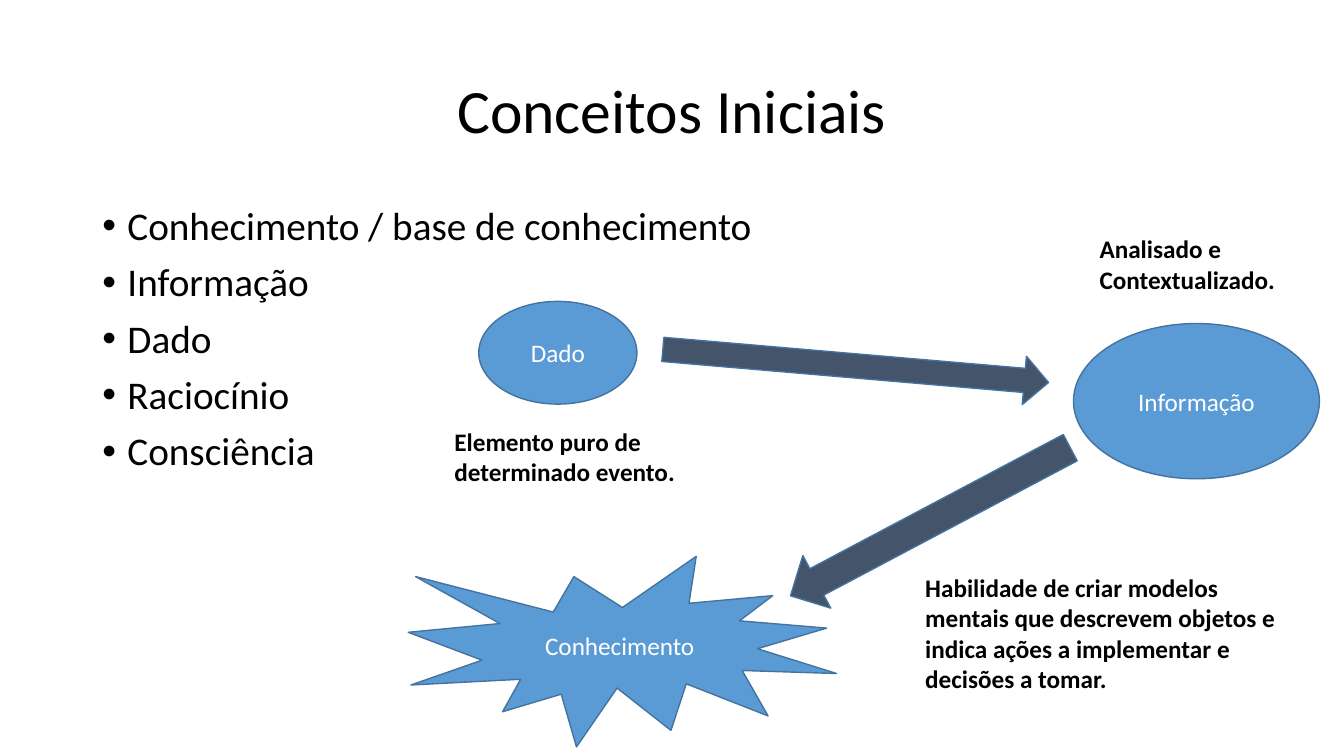
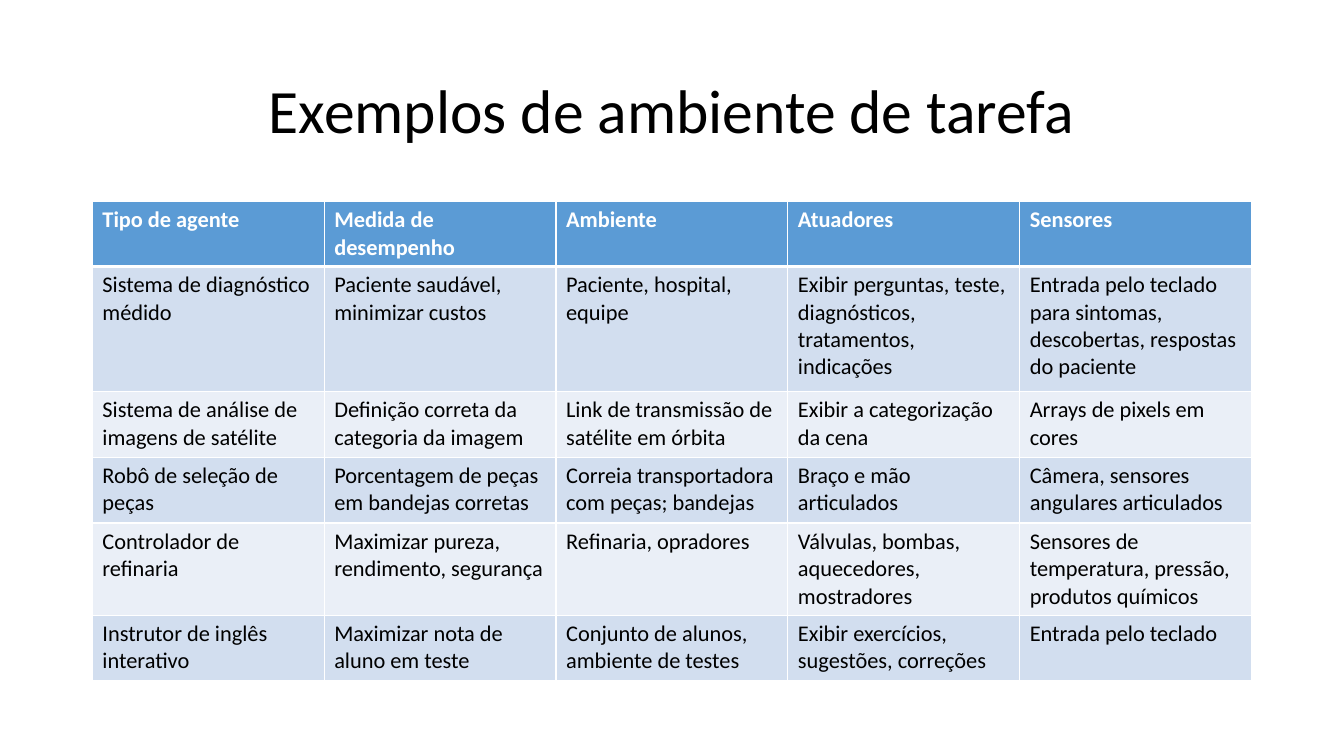
from lxml.etree import SubElement
from pptx import Presentation
from pptx.dml.color import RGBColor
from pptx.enum.shapes import MSO_SHAPE as SHAPE
from pptx.enum.text import MSO_ANCHOR as ANCHOR, PP_ALIGN as ALIGN
from pptx.oxml.ns import qn
from pptx.util import Pt

FONT = "Calibri"
BLACK = RGBColor(0x00, 0x00, 0x00)
WHITE = RGBColor(0xFF, 0xFF, 0xFF)
BLUE = RGBColor(0x5B, 0x9B, 0xD5)
OUTLINE = RGBColor(0x43, 0x73, 0x9E)
SLATE = RGBColor(0x44, 0x54, 0x6A)
BANDS = [RGBColor(0xD2, 0xDE, 0xEF), RGBColor(0xEA, 0xEF, 0xF7)]
LEFT, WIDTH, CONTENT_TOP = 66, 828, 144


def write(frame, lines, size, color=BLACK, bold=False, align=ALIGN.LEFT):
    """Fill a text frame with one paragraph per line and return the paragraphs."""
    for index, line in enumerate(lines):
        paragraph = frame.add_paragraph() if index else frame.paragraphs[0]
        paragraph.alignment = align
        run = paragraph.add_run()
        run.text = line
        run.font.name = FONT
        run.font.size = Pt(size)
        run.font.bold = bold
        run.font.color.rgb = color
    return frame.paragraphs


def add_figure(slide, preset, box, fill, rotation=0):
    figure = slide.shapes.add_shape(preset, *map(Pt, box))
    figure.shadow.inherit = False
    figure.fill.solid()
    figure.fill.fore_color.rgb = fill
    figure.line.color.rgb = OUTLINE
    figure.line.width = Pt(1)
    figure.rotation = rotation
    return figure


deck = Presentation()
deck.slide_width, deck.slide_height = Pt(960), Pt(540)

slides = []
for heading in ["Conceitos Iniciais", "Exemplos de ambiente de tarefa"]:
    slide = deck.slides.add_slide(deck.slide_layouts[6])
    title = slide.shapes.add_textbox(Pt(LEFT), Pt(28.75), Pt(WIDTH), Pt(104.4)).text_frame
    title.word_wrap = True
    title.vertical_anchor = ANCHOR.MIDDLE
    write(title, [heading], 44, align=ALIGN.CENTER)[0].line_spacing = 0.9
    slides.append(slide)
concepts, examples = slides

# Concepts: bullet list
topics = concepts.shapes.add_textbox(
    Pt(LEFT), Pt(CONTENT_TOP), Pt(WIDTH), Pt(342.6)).text_frame
topics.word_wrap = True
topic_names = ["Conhecimento / base de conhecimento", "Informação", "Dado",
               "Raciocínio", "Consciência"]
for topic in write(topics, topic_names, 28):
    topic.line_spacing = 0.9
    topic.space_before = Pt(10)
    properties = topic._p.get_or_add_pPr()
    properties.set("marL", str(Pt(18)))
    properties.set("indent", str(-Pt(18)))
    SubElement(properties, qn("a:buFont"), typeface="Arial")
    SubElement(properties, qn("a:buChar"), char="•")

# Concepts: from data to knowledge
stages = [
    ("Dado", SHAPE.OVAL, (342, 215.3, 113, 73.4)),
    ("Informação", SHAPE.OVAL, (766.8, 231.1, 175.7, 110.9)),
    ("Conhecimento", SHAPE.EXPLOSION1, (291.6, 397.4, 306, 136.1)),
]
for name, preset, box in stages:
    stage = add_figure(concepts, preset, box, BLUE).text_frame
    stage.word_wrap = True
    stage.vertical_anchor = ANCHOR.MIDDLE
    write(stage, [name], 18, WHITE, align=ALIGN.CENTER)

explanations = [
    ((317.5, 301, 198.7, 51), ["Elemento puro de", "determinado evento."]),
    ((778.3, 163.4, 164.2, 51), ["Analisado e", "Contextualizado."]),
    ((653.8, 405.4, 317.5, 94.3),
     ["Habilidade de criar modelos", "mentais que descrevem objetos e",
      "indica ações a implementar e", "decisões a tomar."]),
]
for box, lines in explanations:
    explanation = concepts.shapes.add_textbox(*map(Pt, box)).text_frame
    explanation.word_wrap = True
    write(explanation, lines, 18, bold=True)

for box, angle in [((473, 244.1, 276.5, 34.6), 4.9), ((551.5, 351.4, 226.1, 42.5), 152.1)]:
    add_figure(concepts, SHAPE.RIGHT_ARROW, box, SLATE, angle)

# Examples: table of task environments
agents = [
    ["Tipo de agente", "Medida de desempenho", "Ambiente", "Atuadores", "Sensores"],
    ["Sistema de diagnóstico médido", "Paciente saudável, minimizar custos",
     "Paciente, hospital, equipe",
     "Exibir perguntas, teste, diagnósticos, tratamentos, indicações",
     "Entrada pelo teclado para sintomas, descobertas, respostas do paciente"],
    ["Sistema de análise de imagens de satélite",
     "Definição correta da categoria da imagem",
     "Link de transmissão de satélite em órbita",
     "Exibir a categorização da cena", "Arrays de pixels em cores"],
    ["Robô de seleção de peças", "Porcentagem de peças em bandejas corretas",
     "Correia transportadora com peças; bandejas", "Braço e mão articulados",
     "Câmera, sensores angulares articulados"],
    ["Controlador de refinaria", "Maximizar pureza, rendimento, segurança",
     "Refinaria, opradores", "Válvulas, bombas, aquecedores, mostradores",
     "Sensores de temperatura, pressão, produtos químicos"],
    ["Instrutor de inglês interativo", "Maximizar nota de aluno em teste",
     "Conjunto de alunos, ambiente de testes",
     "Exibir exercícios, sugestões, correções", "Entrada pelo teclado"],
]
row_heights = [46.3, 89.3, 47, 47, 65.8, 47]
table = examples.shapes.add_table(
    len(agents), len(agents[0]), Pt(LEFT), Pt(CONTENT_TOP),
    Pt(WIDTH), Pt(sum(row_heights))).table
for column in table.columns:
    column.width = Pt(WIDTH / len(agents[0]))

for row_index, (entries, height) in enumerate(zip(agents, row_heights)):
    table.rows[row_index].height = Pt(height)
    is_header = row_index == 0
    edges = {"lnL": 1, "lnR": 1,
             "lnT": 3 if row_index == 1 else 1,
             "lnB": 3 if is_header else 1}
    for column_index, entry in enumerate(entries):
        cell = table.cell(row_index, column_index)
        for edge, weight in edges.items():
            border = SubElement(cell._tc.get_or_add_tcPr(), qn(f"a:{edge}"), w=str(Pt(weight)))
            SubElement(SubElement(border, qn("a:solidFill")), qn("a:srgbClr"), val=str(WHITE))
        cell.fill.solid()
        cell.fill.fore_color.rgb = BLUE if is_header else BANDS[(row_index - 1) % 2]
        write(cell.text_frame, [entry], 16, WHITE if is_header else BLACK, is_header)

deck.save("out.pptx")
